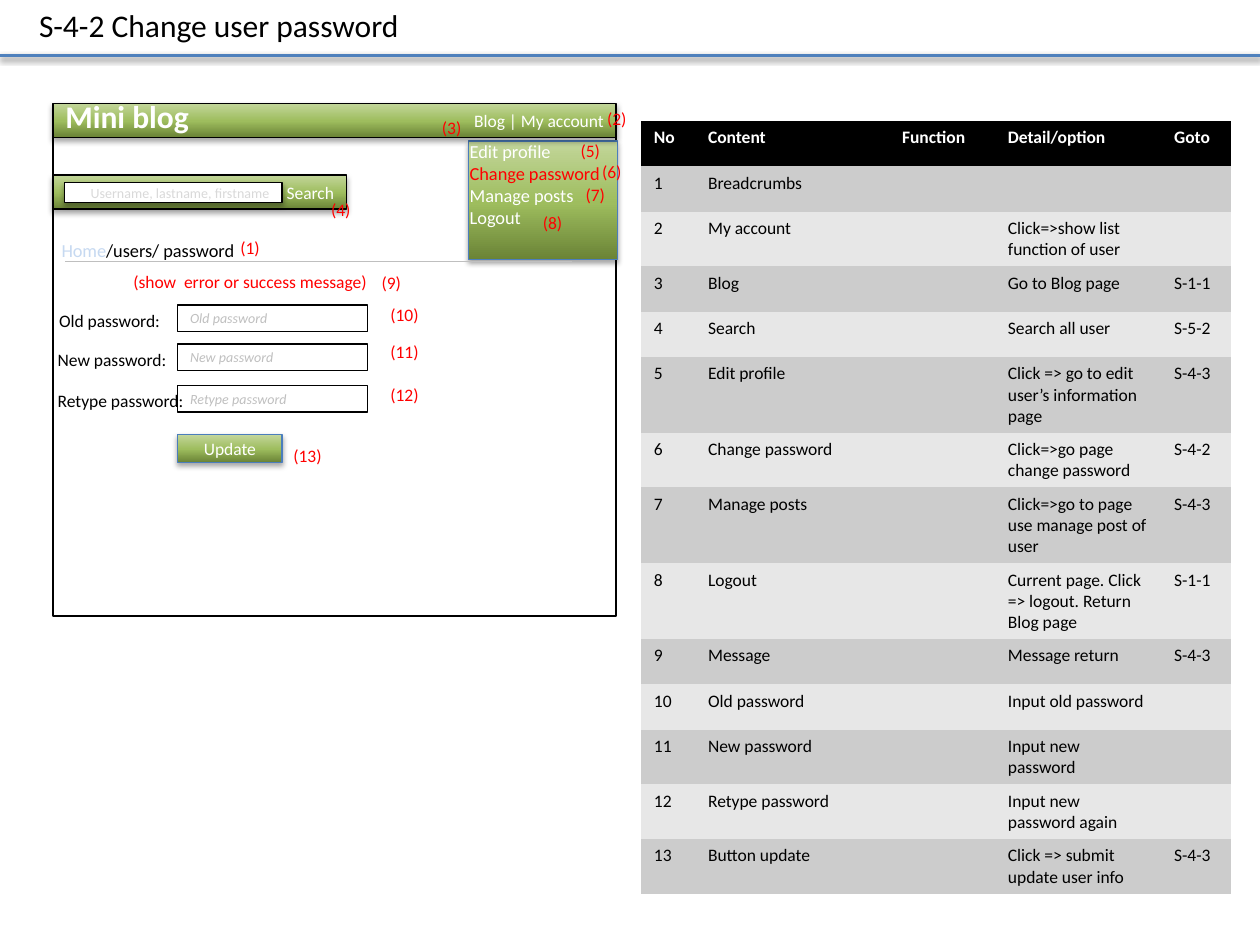
import copy
import dataclasses
import typing

import pptx
import pptx.dml.color
import pptx.enum.shapes
import pptx.enum.text
import pptx.oxml
import pptx.oxml.ns
import pptx.util
from pptx.util import Inches

RGBColor = pptx.dml.color.RGBColor
ALIGN = pptx.enum.text.PP_ALIGN
ANCHOR = pptx.enum.text.MSO_ANCHOR
BLACK = RGBColor(0x00, 0x00, 0x00)
WHITE = RGBColor(0xFF, 0xFF, 0xFF)
RED = RGBColor(0xFF, 0x00, 0x00)
BLUE = RGBColor(0x4F, 0x81, 0xBD)
BUTTON_EDGE = RGBColor(0x4B, 0x7E, 0xBC)
PALE_BLUE = RGBColor(0xC6, 0xD9, 0xF1)
HINT_GREY = RGBColor(0xBF, 0xBF, 0xBF)
SEARCH_GREY = RGBColor(0xD9, 0xD9, 0xD9)
BANDS = (RGBColor(0xE7, 0xE7, 0xE7), RGBColor(0xCC, 0xCC, 0xCC))
GREEN_STOPS = ((0, RGBColor(0x6A, 0x83, 0x36)), (0.48, RGBColor(0x9E, 0xBD, 0x5E)),
               (1, RGBColor(0xC3, 0xD6, 0x9B)))
NO_TABLE_STYLE = "{2D5ABB26-0587-4C30-8999-92F81FD0307C}"


@dataclasses.dataclass
class Marker:
    """A red reference number beside a screen element."""
    number: int
    left: float
    top: float
    width: float = 0.36


@dataclasses.dataclass
class Field:
    """A labelled password input."""
    name: str
    top: float
    label_left: float
    label_width: float


@dataclasses.dataclass
class Entry:
    """A row of the element table."""
    content: str
    detail: str = ""
    goto: str = ""


MARKERS = [
    Marker(1, 1.81, 1.83), Marker(2, 4.72, 0.81), Marker(3, 3.41, 0.88),
    Marker(4, 2.53, 1.53), Marker(5, 4.51, 1.06), Marker(6, 4.68, 1.23),
    Marker(7, 4.55, 1.41), Marker(8, 4.21, 1.63), Marker(9, 2.93, 2.11),
    Marker(10, 3, 2.36, 0.43), Marker(11, 3, 2.66, 0.43),
    Marker(12, 3, 3, 0.43), Marker(13, 2.23, 3.48, 0.43),
]
FIELDS = [
    Field("Old password", 2.42, 0.37, 1.01),
    Field("New password", 2.73, 0.36, 1.08),
    Field("Retype password", 3.06, 0.36, 1.22),
]
ENTRIES = [
    Entry("Breadcrumbs"),
    Entry("My account", "Click=>show list function of user"),
    Entry("Blog", "Go to Blog page", "S-1-1"),
    Entry("Search", "Search all user", "S-5-2"),
    Entry("Edit profile", "Click => go to edit user’s information page", "S-4-3"),
    Entry("Change password", "Click=>go page change password", "S-4-2"),
    Entry("Manage posts", "Click=>go to page use manage post of user", "S-4-3"),
    Entry("Logout", "Current page. Click => logout. Return Blog page", "S-1-1"),
    Entry("Message", "Message return", "S-4-3"),
    Entry("Old password", "Input old password"),
    Entry("New password", "Input new password"),
    Entry("Retype password", "Input new password again"),
    Entry("Button update", "Click => submit update user info", "S-4-3"),
]


def write(para: typing.Any, text: str, *, size: float = 10, color: RGBColor = BLACK,
          bold: bool = False, italic: bool = False, align: typing.Any = ALIGN.LEFT) -> None:
    """Add a formatted span to a paragraph."""
    para.alignment = align
    span = para.add_run()
    span.text = text
    span.font.name = "Calibri"
    span.font.size = pptx.util.Pt(size)
    span.font.color.rgb = color
    span.font.bold = bold
    span.font.italic = italic


def set_shadow(item: typing.Any, alpha: int = 0, distance: float = 1.8) -> None:
    """Give a shape or line a soft shadow downwards, or none at alpha zero."""
    properties = item._element.spPr
    for old in properties.findall(pptx.oxml.ns.qn("a:effectLst")):
        properties.remove(old)
    shadow = (f'<a:outerShdw blurRad="{int(3.1 * 12700)}" dist="{int(distance * 12700)}" '
              f'dir="5400000" rotWithShape="0"><a:srgbClr val="000000">'
              f'<a:alpha val="{alpha * 1000}"/></a:srgbClr></a:outerShdw>') if alpha else ""
    properties.append(pptx.oxml.parse_xml(
        f'<a:effectLst {pptx.oxml.ns.nsdecls("a")}>{shadow}</a:effectLst>'))


def fill_green(shape: typing.Any) -> None:
    """Fill a shape with the green gradient, dark at the bottom."""
    shape.fill.gradient()
    shape.fill.gradient_angle = 90
    stop_list = shape._element.spPr.find(".//" + pptx.oxml.ns.qn("a:gsLst"))
    stop_list.append(copy.deepcopy(stop_list[0]))
    for stop, (position, color) in zip(shape.fill.gradient_stops, GREEN_STOPS):
        stop.position = position
        stop.color.rgb = color


def add_box(page: typing.Any, left: float, top: float, width: float, height: float, *,
            fill: typing.Optional[RGBColor] = None, green: bool = False,
            edge: RGBColor = BLACK, shadow: bool = False, text: str = "",
            **style: typing.Any) -> None:
    """Draw a rectangle with optional text."""
    box = page.shapes.add_shape(pptx.enum.shapes.MSO_SHAPE.RECTANGLE, Inches(left),
                                Inches(top), Inches(width), Inches(height))
    if green:
        fill_green(box)
    elif fill is not None:
        box.fill.solid()
        box.fill.fore_color.rgb = fill
    else:
        box.fill.background()
    box.line.color.rgb = edge
    box.line.width = pptx.util.Pt(0.75)
    set_shadow(box, 35 if shadow else 0)
    if text:
        box.text_frame.vertical_anchor = ANCHOR.MIDDLE
        write(box.text_frame.paragraphs[0], text, **style)


def add_text(page: typing.Any, left: float, top: float, width: float,
             height: float = 0.27) -> typing.Any:
    """Add an unwrapped text box and return its frame."""
    box = page.shapes.add_textbox(Inches(left), Inches(top), Inches(width), Inches(height))
    box.text_frame.word_wrap = False
    box.text_frame.auto_size = pptx.enum.text.MSO_AUTO_SIZE.SHAPE_TO_FIT_TEXT
    return box.text_frame


def add_rule(page: typing.Any, left: float, top: float, right: float, color: RGBColor,
             weight: float, shadow: int = 0) -> None:
    """Draw a horizontal line."""
    rule = page.shapes.add_connector(pptx.enum.shapes.MSO_CONNECTOR.STRAIGHT, Inches(left),
                                     Inches(top), Inches(right), Inches(top))
    rule.line.color.rgb = color
    rule.line.width = pptx.util.Pt(weight)
    set_shadow(rule, shadow, 1.6)


def add_element_table(page: typing.Any) -> None:
    """Add the table that explains the numbered elements."""
    rows = [("No", "Content", "Function", "Detail/option", "Goto")]
    rows += [(str(number), entry.content, "", entry.detail, entry.goto)
             for number, entry in enumerate(ENTRIES, 1)]
    frame = page.shapes.add_table(len(rows), 5, Inches(5.09), Inches(0.96),
                                  Inches(4.68), Inches(0.36 * len(rows)))
    table = frame.table
    table._tbl.tblPr.find(pptx.oxml.ns.qn("a:tableStyleId")).text = NO_TABLE_STYLE
    table.horz_banding = False
    for column, width in zip(table.columns, (0.43, 1.54, 0.84, 1.32, 0.55)):
        column.width = Inches(width)
    for index, row in enumerate(rows):
        table.rows[index].height = Inches(0.36)
        for column, text in enumerate(row):
            cell = table.cell(index, column)
            cell.fill.solid()
            cell.fill.fore_color.rgb = BANDS[index % 2] if index else BLACK
            para = cell.text_frame.paragraphs[0]
            if text:
                write(para, text, color=BLACK if index else WHITE, bold=index == 0)
            else:
                para._p.append(pptx.oxml.parse_xml(
                    f'<a:endParaRPr {pptx.oxml.ns.nsdecls("a")} sz="1000"/>'))


def add_title(page: typing.Any) -> None:
    """Place the slide title at the top left."""
    title = page.shapes.title
    title.left, title.top = Inches(0.21), Inches(0)
    title.width, title.height = Inches(3.09), Inches(0.4)
    title.text_frame.word_wrap = False
    title.text_frame.auto_size = pptx.enum.text.MSO_AUTO_SIZE.SHAPE_TO_FIT_TEXT
    title.text_frame.vertical_anchor = ANCHOR.TOP
    write(title.text_frame.paragraphs[0], "S-4-2 Change user password", size=18)


def add_screen(page: typing.Any) -> None:
    """Draw the mock-up of the password screen."""
    add_box(page, 0.42, 0.83, 4.47, 4.06, fill=WHITE)
    message = add_text(page, 0.96, 2.1, 2.08)
    write(message.paragraphs[0], "(show  error or success message)", color=RED)
    add_box(page, 1.41, 3.45, 0.83, 0.22, green=True, edge=BUTTON_EDGE, shadow=True,
            text="Update", color=WHITE, align=ALIGN.CENTER)
    for field in FIELDS:
        add_box(page, 1.41, field.top, 1.51, 0.21, text=field.name, size=8,
                color=HINT_GREY, italic=True)
        label = add_text(page, field.label_left, field.top - 0.01, field.label_width)
        write(label.paragraphs[0], field.name + ":")
    add_box(page, 3.72, 1.12, 1.18, 0.94, green=True, edge=BUTTON_EDGE, shadow=True)
    add_rule(page, 0.52, 2.07, 4.54, HINT_GREY, 0.25)
    breadcrumbs = add_text(page, 0.39, 1.85, 1.6, 0.28).paragraphs[0]
    write(breadcrumbs, "Home", size=10.5, color=PALE_BLUE)
    write(breadcrumbs, "/users/ password", size=10.5)
    for top, width, text in ((0.82, 4.47, "Blog | My account"), (1.39, 2.33, "Search")):
        add_box(page, 0.42, top, width, 0.27, green=True, shadow=True, text=text,
                color=WHITE, align=ALIGN.RIGHT)
    add_box(page, 0.51, 1.45, 1.73, 0.16, fill=WHITE, shadow=True, size=8,
            text="Username, lastname, firstname", color=SEARCH_GREY, align=ALIGN.RIGHT)
    brand = add_text(page, 0.42, 0.72, 1.28, 0.4)
    write(brand.paragraphs[0], "Mini blog", size=18, color=WHITE, bold=True)
    menu = add_text(page, 3.63, 1.06, 1.26, 0.98)
    for index, text in enumerate(("Edit profile", "Change password", "Manage posts", "Logout")):
        para = menu.add_paragraph() if index else menu.paragraphs[0]
        write(para, text, size=10.5, color=RED if text == "Change password" else WHITE)
    for marker in MARKERS:
        frame = add_text(page, marker.left, marker.top, marker.width)
        write(frame.paragraphs[0], f"({marker.number})", color=RED)


deck = pptx.Presentation()
deck.slide_width, deck.slide_height = Inches(10), Inches(7.5)
page = deck.slides.add_slide(deck.slide_layouts[5])
add_title(page)
add_rule(page, 0, 0.44, 10, BLUE, 2, shadow=38)
add_element_table(page)
add_screen(page)
deck.save("out.pptx")
